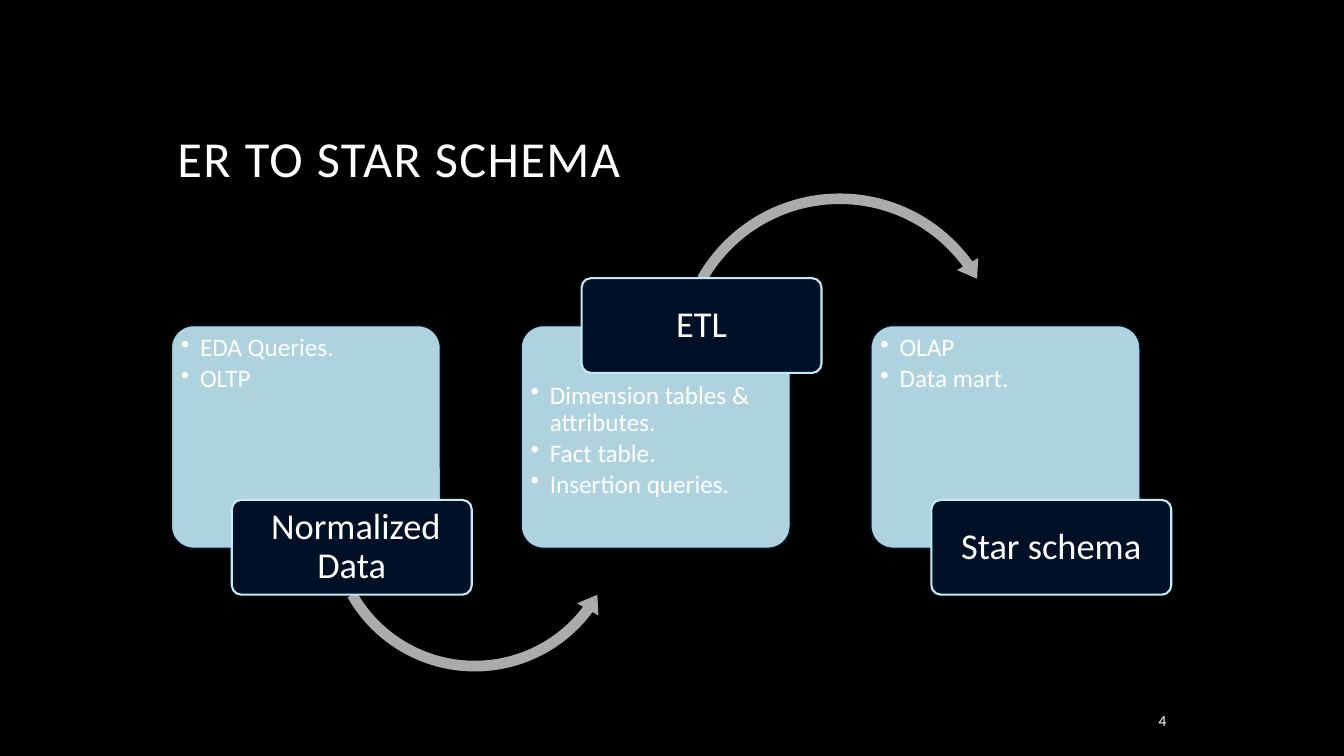
import lxml.etree
import pptx
import pptx.dml.color
import pptx.enum.shapes
import pptx.enum.text
import pptx.oxml.ns
import pptx.util

RGB = pptx.dml.color.RGBColor
BLACK = RGB(0x00, 0x00, 0x00)
WHITE = RGB(0xFF, 0xFF, 0xFF)
PALE = RGB(0xC1, 0xEB, 0xF7)
NAVY = RGB(0x00, 0x10, 0x27)
GREY = RGB(0xAB, 0xAB, 0xAD)

SHAPE = pptx.enum.shapes.MSO_SHAPE
ALIGN = pptx.enum.text.PP_ALIGN
ANCHOR = pptx.enum.text.MSO_ANCHOR
INCH = pptx.util.Inches
POINT = pptx.util.Pt

COLS, ROWS = 40, 30
FIRST, STEP = 5.1, 10.41  # first panel's column, and columns from panel to panel
HIGH, LOW = 11.04, 19.84  # rows of the name tags

# Bullets, their top inset in inches, tag, tag row, arrow (shape, place, adjustments)
STAGES = [
    (["EDA Queries.", "OLTP"], 0.03, " Normalized Data", LOW,
     (SHAPE.LEFT_CIRCULAR_ARROW, (9.57, 14.76, 9.12, 12.16),
      (0.035, 4.277, 22.032, 90.245, 0.04))),
    (["Dimension tables & attributes.", "Fact table.", "Insertion queries."],
     0.5, "ETL", HIGH,
     (SHAPE.CIRCULAR_ARROW, (19.92, 7.4, 10.14, 13.52),
      (0.031, 3.813, 194.431, 125.755, 0.036))),
    (["OLAP", "Data mart."], 0.03, "Star schema", LOW, None),
]


def write(frame, lines, size, align=ALIGN.LEFT, anchor=ANCHOR.TOP, inset=None,
          leading=None, after=0, bullet=False, track=0):
    """Fill a text frame; inset is (left, top, right, bottom) in inches."""
    frame.word_wrap = True
    frame.auto_size = pptx.enum.text.MSO_AUTO_SIZE.NONE
    frame.vertical_anchor = anchor
    if inset:
        (frame.margin_left, frame.margin_top,
         frame.margin_right, frame.margin_bottom) = map(INCH, inset)
    for i, line in enumerate(lines):
        para = frame.add_paragraph() if i else frame.paragraphs[0]
        para.alignment = align
        para.space_before = POINT(0)
        para.space_after = POINT(after)
        if leading:
            para.line_spacing = leading
        if bullet:
            props = para._p.get_or_add_pPr()
            props.set("marL", str(INCH(0.19)))
            props.set("indent", str(-INCH(0.19)))
            mark = lxml.etree.SubElement(props, pptx.oxml.ns.qn("a:buChar"))
            mark.set("char", "•")
        run = para.add_run()
        run.text = line
        run.font.size = POINT(size)
        run.font.name = "Calibri"
        run.font.color.rgb = WHITE
        if track:
            run.font._element.set("spc", str(track * 100))


class Deck:
    def __init__(self):
        self.file = pptx.Presentation()
        self.file.slide_width = INCH(13.33)
        self.file.slide_height = INCH(7.5)
        self.slide = self.file.slides.add_slide(self.file.slide_layouts[5])
        back = self.slide.background.fill
        back.solid()
        back.fore_color.rgb = BLACK

    def place(self, col, row, wide, high):
        """Turn grid columns and rows into slide lengths."""
        unit = self.file.slide_width / COLS
        step = self.file.slide_height / ROWS
        return (round(col * unit), round(row * step),
                round(wide * unit), round(high * step))

    def title(self, text, *area):
        head = self.slide.shapes.title
        head.left, head.top, head.width, head.height = self.place(*area)
        write(head.text_frame, [text], 36, anchor=ANCHOR.BOTTOM,
              leading=0.9, track=1)

    def shape(self, kind, area, fill, adjust, line=None, width=1):
        item = self.slide.shapes.add_shape(kind, *self.place(*area))
        item.shadow.inherit = False
        item.fill.solid()
        item.fill.fore_color.rgb = fill
        for i, value in enumerate(adjust):
            item.adjustments[i] = value
        if line is None:
            item.line.fill.background()
        else:
            item.line.color.rgb = line
            item.line.width = POINT(width)
        return item

    def panel(self, col, lines, top):
        item = self.shape(SHAPE.ROUNDED_RECTANGLE, (col, 12.92, 8.01, 8.84),
                          PALE, [0.1], NAVY)
        tint = item._element.spPr.find(".//" + pptx.oxml.ns.qn("a:srgbClr"))
        alpha = lxml.etree.SubElement(tint, pptx.oxml.ns.qn("a:alpha"))
        alpha.set("val", "90000")
        write(item.text_frame, lines, 18, inset=(0.03, top, 0.03, 0.03),
              leading=0.9, after=2.7, bullet=True)

    def tag(self, col, row, text):
        item = self.shape(SHAPE.ROUNDED_RECTANGLE, (col, row, 7.14, 3.76),
                          NAVY, [0.1], PALE, 1.5)
        write(item.text_frame, [text], 26, align=ALIGN.CENTER,
              anchor=ANCHOR.MIDDLE, inset=(0.05, 0.04, 0.05, 0.04), leading=0.9)

    def number(self, text, *area):
        box = self.slide.shapes.add_textbox(*self.place(*area))
        write(box.text_frame, [text], 11, align=ALIGN.RIGHT, anchor=ANCHOR.MIDDLE)


def main():
    deck = Deck()
    deck.title("ER TO STAR SCHEMA", 4.98, 1.68, 30, 6)
    for i, (lines, top, name, row, arrow) in enumerate(STAGES):
        col = FIRST + i * STEP
        deck.panel(col, lines, top)
        if arrow:
            kind, area, adjust = arrow
            deck.shape(kind, area, GREY, adjust)
        deck.tag(col + 1.8, row, name)
    deck.number("4", 32.25, 28, 2.76, 1.2)
    deck.file.save("out.pptx")


if __name__ == "__main__":
    main()
